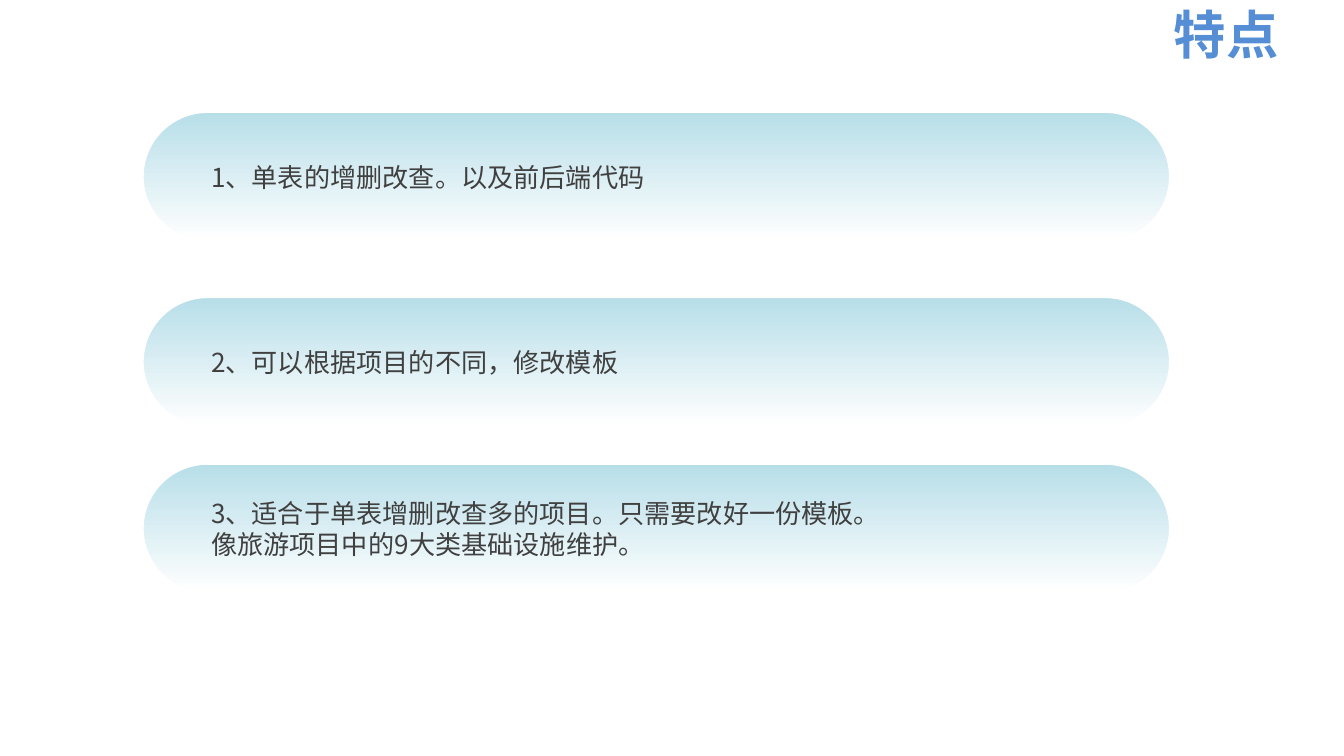
from dataclasses import dataclass

from lxml import etree
from pptx import Presentation
from pptx.dml.color import RGBColor
from pptx.enum.shapes import MSO_SHAPE
from pptx.enum.text import MSO_ANCHOR, PP_ALIGN
from pptx.oxml.ns import qn
from pptx.util import Cm, Pt

ROUNDED = MSO_SHAPE.ROUNDED_RECTANGLE
MIDDLE = MSO_ANCHOR.MIDDLE
LEFT, RIGHT = PP_ALIGN.LEFT, PP_ALIGN.RIGHT

FONT = "Noto Sans CJK SC"
COLORS = {"title": "558ED5", "body": "404040", "top": "B7DEE8", "bottom": "FFFFFF"}

BAR_LEFT, BAR_WIDTH, BAR_HEIGHT = 2.69, 19.43, 2.46


@dataclass
class Feature:
    top: float
    text: str


FEATURES = [
    Feature(2.11, "1、单表的增删改查。以及前后端代码"),
    Feature(5.61, "2、可以根据项目的不同，修改模板"),
    Feature(8.76, "3、适合于单表增删改查多的项目。只需要改好一份模板。\n"
                  "像旅游项目中的9大类基础设施维护。"),
]


def color(name: str) -> RGBColor:
    return RGBColor.from_string(COLORS[name])


def write(frame, text: str, size: int, color_name: str, align, bold: bool = False) -> None:
    frame.text = text
    frame.vertical_anchor = MIDDLE
    for paragraph in frame.paragraphs:
        paragraph.alignment = align
        for run in paragraph.runs:
            font = run.font
            font.size, font.bold, font.name = Pt(size), bold, FONT
            font.color.rgb = color(color_name)
            # East Asian typeface
            etree.SubElement(font._element, qn("a:ea")).set("typeface", FONT)


def draw_feature(slide, feature: Feature) -> None:
    bar = slide.shapes.add_shape(
        ROUNDED, Cm(BAR_LEFT), Cm(feature.top), Cm(BAR_WIDTH), Cm(BAR_HEIGHT))
    bar.adjustments[0] = 0.5
    bar.shadow.inherit = False
    bar.fill.gradient()
    bar.fill.gradient_angle = 270
    for stop, name, position in zip(bar.fill.gradient_stops, ("top", "bottom"), (0, 1)):
        stop.color.rgb = color(name)
        stop.position = position
    bar.line.color.rgb = color("bottom")
    bar.line.width = Pt(1.5)
    frame = bar.text_frame
    frame.word_wrap = False
    frame.margin_left, frame.margin_right = Cm(0.94), Cm(0.25)
    frame.margin_top = frame.margin_bottom = Cm(0.1)
    write(frame, feature.text, 14, "body", LEFT)


presentation = Presentation()
presentation.slide_width, presentation.slide_height = Cm(25.4), Cm(14.29)
slide = presentation.slides.add_slide(presentation.slide_layouts[6])

# Title
title = slide.shapes.add_textbox(Cm(10.8), Cm(0.1), Cm(13.61), Cm(1.07))
title.text_frame.word_wrap = True
write(title.text_frame, "特点", 28, "title", RIGHT, bold=True)

# Feature bars
for feature in FEATURES:
    draw_feature(slide, feature)

presentation.save("out.pptx")
